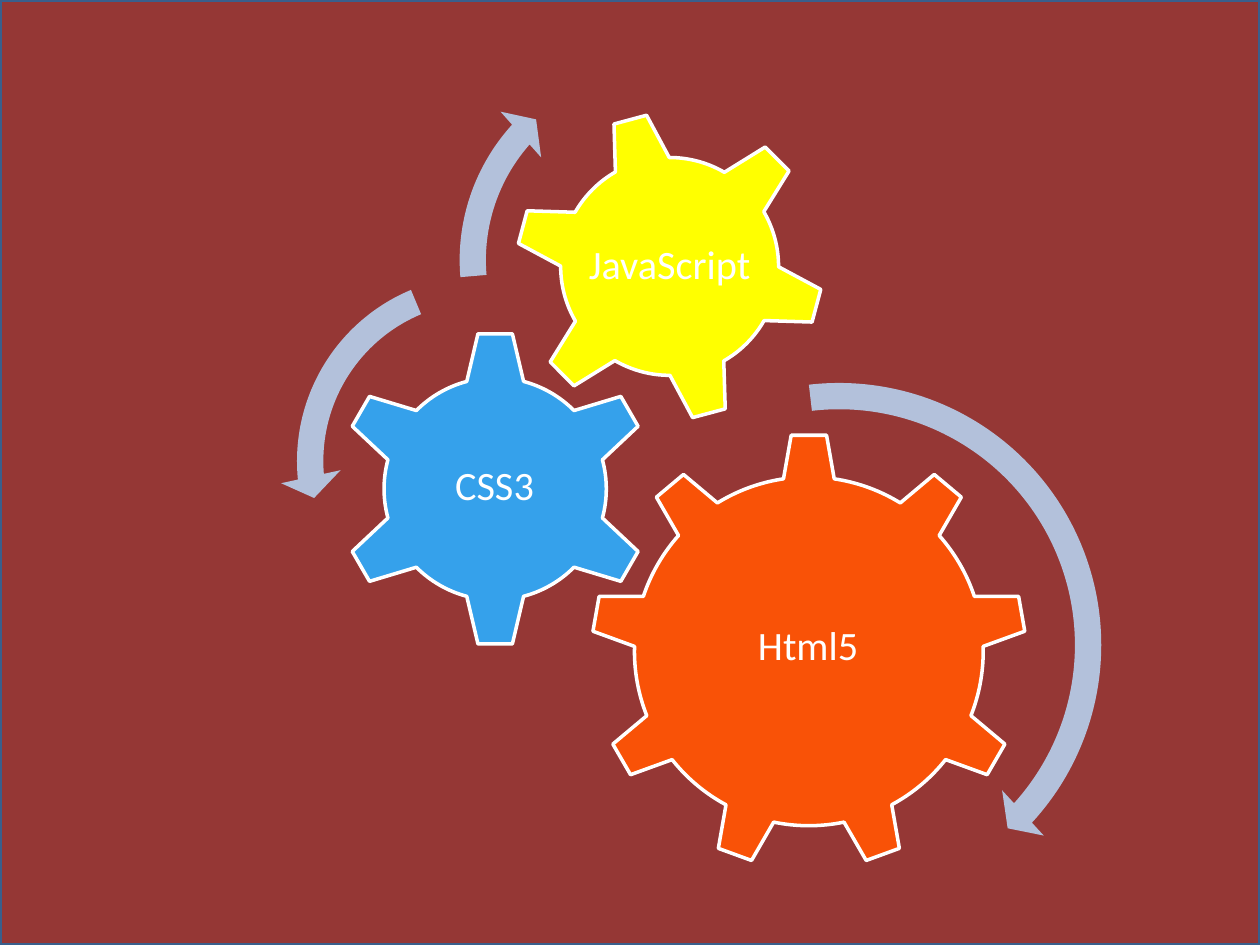
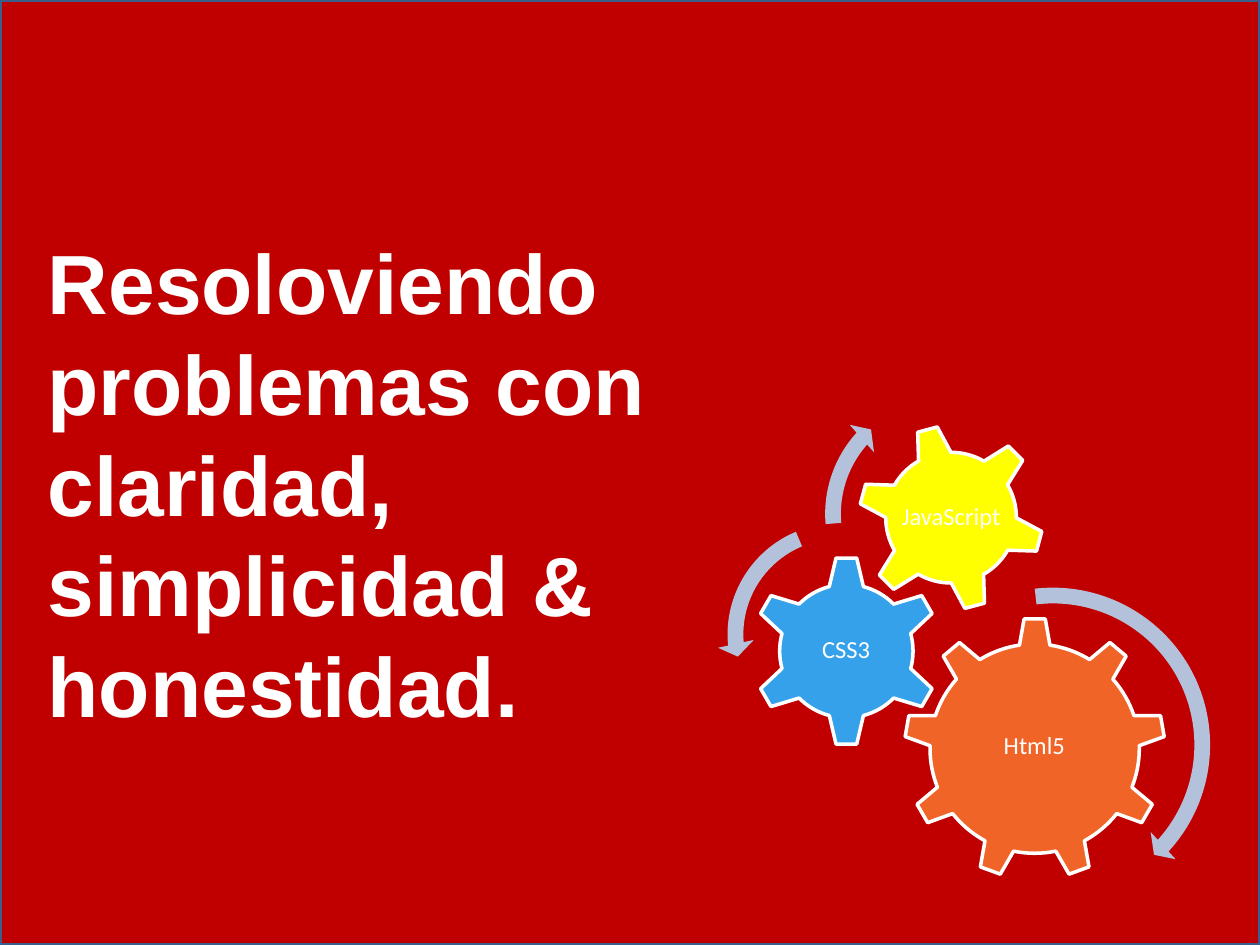
from pptx import Presentation
from pptx.dml.color import RGBColor
from pptx.enum.shapes import MSO_SHAPE as Preset
from pptx.enum.text import MSO_ANCHOR as Anchor, PP_ALIGN as Align
from pptx.util import Inches, Pt

WIDTH, HEIGHT = 10, 7.5
COLORS = {
    "brick": "953735", "red": "C00000", "frame": "3A5F8C", "white": "FFFFFF",
    "html": "F95207", "html_soft": "F16428", "css": "35A1EB",
    "script": "FFFF00", "arrow": "B3C1DB",
}

# Gear drawing at full size: label, preset, left, top, size, rotation, label box
GEARS = [
    ("Html5", Preset.GEAR_9, 4.69, 3.44, 3.46, 0, (5.38, 4.25, 2.07, 1.78)),
    ("CSS3", Preset.GEAR_6, 2.67, 2.62, 2.52, 0, (3.3, 3.25, 1.25, 1.24)),
    ("JavaScript", Preset.GEAR_6, 4.08, 0.88, 2.47, 345, (4.62, 1.42, 1.39, 1.39)),
]
# Turning arrows: preset, left, top, size, adjustments
ARROWS = [
    (Preset.CIRCULAR_ARROW, 4.44, 2.9, 4.44, (0.047, 2.99, 25.442, 158.023, 0.055)),
    (Preset.LEFT_CIRCULAR_ARROW, 2.22, 2.05, 3.22,
     (0.065, 4.3, 104.891, 148.378, 0.075)),
    (Preset.CIRCULAR_ARROW, 3.51, 0.33, 3.47, (0.06, 3.941, 133.138, 105.082, 0.07)),
]


def rgb(name):
    """Return the palette colour with this name."""
    return RGBColor.from_string(COLORS[name])


def add_preset(shapes, preset, box, fill, line=None, rotation=0, adjustments=()):
    """Add a flat preset shape; box is left, top, width, height in inches."""
    figure = shapes.add_shape(preset, *map(Inches, box))
    figure.shadow.inherit = False
    figure.fill.solid()
    figure.fill.fore_color.rgb = rgb(fill)
    if line:
        figure.line.color.rgb = rgb(line)
        figure.line.width = Pt(2)
    else:
        figure.line.fill.background()
    figure.rotation = rotation
    for index, value in enumerate(adjustments):
        figure.adjustments[index] = value


def add_text(shapes, text, box, *, size, font, bold=False, align=Align.LEFT,
             anchor=Anchor.TOP, inset=None, spacing=None, wrap=True):
    """Add a white text box with the given format."""
    frame = shapes.add_textbox(*map(Inches, box)).text_frame
    frame.word_wrap = wrap
    frame.vertical_anchor = anchor
    if inset is not None:
        frame.margin_left = frame.margin_right = Inches(inset)
        frame.margin_top = frame.margin_bottom = Inches(inset)
    paragraph = frame.paragraphs[0]
    paragraph.alignment = align
    paragraph.line_spacing = spacing
    run = paragraph.add_run()
    run.text = text
    run.font.size = Pt(size)
    run.font.name = font
    run.font.bold = bold
    run.font.color.rgb = rgb("white")


def add_gears(slide, fills, left=0, top=0, scale=1):
    """Add the grouped gears and arrows, scaled and moved as one drawing."""
    def place(x, y, width, height):
        return left + x * scale, top + y * scale, width * scale, height * scale

    shapes = slide.shapes.add_group_shape().shapes
    for (label, preset, x, y, size, rotation, label_box), fill in zip(GEARS, fills):
        add_preset(shapes, preset, place(x, y, size, size), fill,
                   line="white", rotation=rotation)
        add_text(shapes, label, place(*label_box), size=round(23 * scale),
                 font="Calibri", align=Align.CENTER, anchor=Anchor.MIDDLE,
                 inset=0.03 * scale, spacing=0.9, wrap=False)
    for preset, x, y, size, adjustments in ARROWS:
        add_preset(shapes, preset, place(x, y, size, size), "arrow",
                   adjustments=adjustments)


def add_slide(deck, backdrop):
    """Add a blank slide covered by a framed colour panel."""
    slide = deck.slides.add_slide(deck.slide_layouts[6])
    add_preset(slide.shapes, Preset.RECTANGLE, (0, 0, WIDTH, HEIGHT), backdrop,
               line="frame")
    return slide


def main():
    """Build and save the two slides."""
    deck = Presentation()
    deck.slide_width, deck.slide_height = Inches(WIDTH), Inches(HEIGHT)

    technologies = add_slide(deck, "brick")
    add_gears(technologies, ("html", "css", "script"))

    motto = add_slide(deck, "red")
    add_gears(motto, ("html_soft", "css", "script"), left=4.36, top=2.84, scale=0.6)
    add_text(motto.shapes,
             "Resoloviendo problemas con claridad, simplicidad & honestidad.",
             (0.28, 1.78, 6.22, 4.14), size=48, font="Arial", bold=True)

    deck.save("out.pptx")


main()
